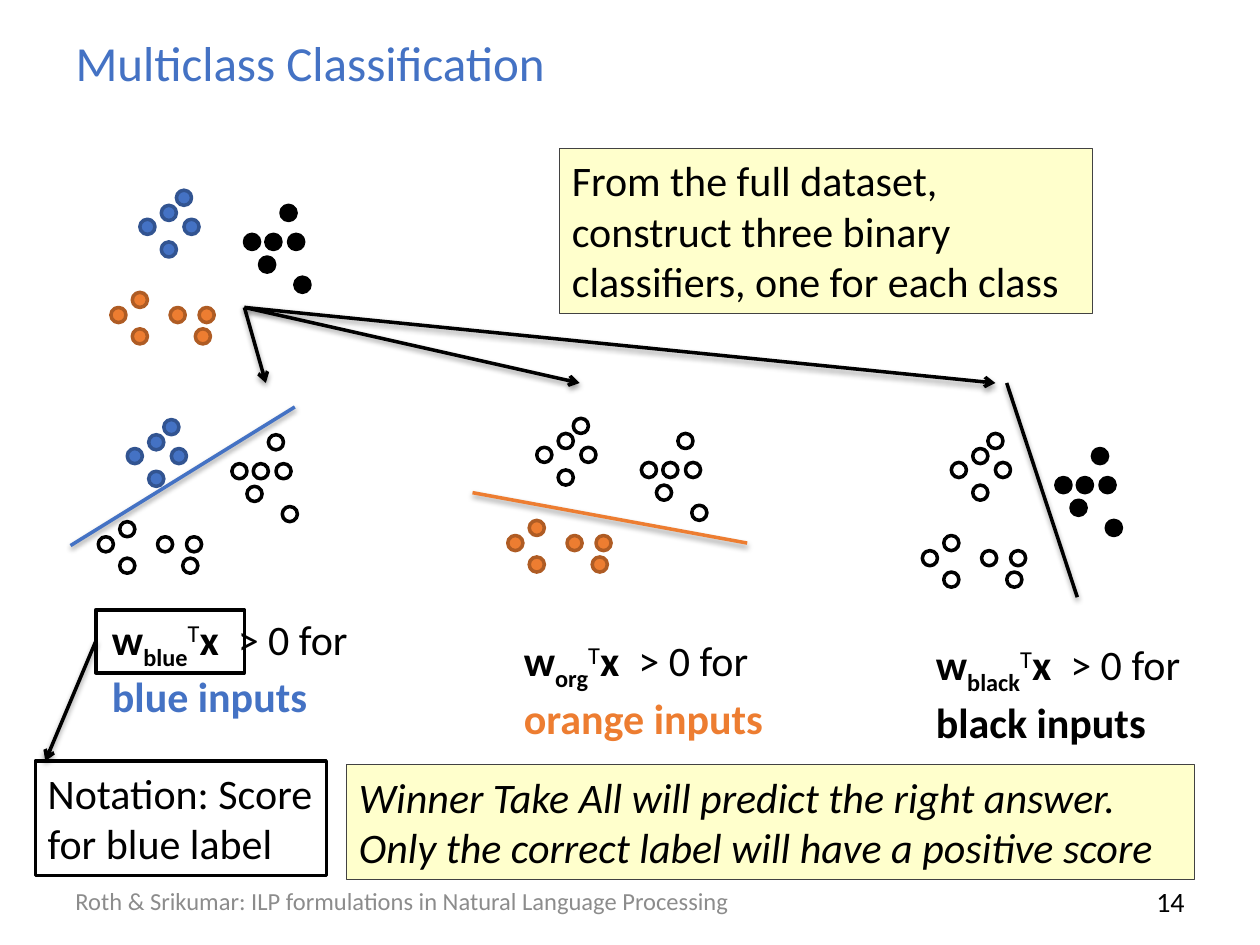
import pptx
import pptx.util
import pptx.dml.color
import pptx.enum.shapes
import pptx.enum.text
import pptx.oxml
import pptx.oxml.ns

Inches, Pt = pptx.util.Inches, pptx.util.Pt
RGB = pptx.dml.color.RGBColor
ALIGN, ANCHOR = pptx.enum.text.PP_ALIGN, pptx.enum.text.MSO_ANCHOR
SHAPE = pptx.enum.shapes.MSO_SHAPE

BLUE, BLUE_EDGE = RGB(0x44, 0x72, 0xC4), RGB(0x32, 0x54, 0x91)
ORANGE, ORANGE_EDGE = RGB(0xED, 0x7D, 0x31), RGB(0xAF, 0x5C, 0x24)
BLACK, WHITE = RGB(0, 0, 0), RGB(255, 255, 255)
CREAM, NOTE_EDGE = RGB(0xFF, 0xFF, 0xCC), RGB(0x42, 0x42, 0x42)
GREY = RGB(0x8C, 0x8C, 0x8C)

# Content: one point cloud, shown whole and then once per binary classifier
TITLE = "Multiclass Classification"
FOOTER = "Roth & Srikumar: ILP formulations in Natural Language Processing"
NUMBER = "14"
DOT = 0.12
POINTS = {
    "blue": [(1.28, 1.63), (1.40, 1.51), (1.11, 1.74), (1.46, 1.74), (1.28, 1.92)],
    "orange": [(1.58, 2.44), (1.05, 2.32), (1.35, 2.44), (0.88, 2.44),
               (1.55, 2.61), (1.05, 2.61)],
    "black": [(2.06, 2.04), (2.34, 2.20), (2.23, 1.63), (1.94, 1.86),
              (2.29, 1.86), (2.11, 1.86)],
}
COLORS = {"blue": (BLUE, BLUE_EDGE), "orange": (ORANGE, ORANGE_EDGE),
          "black": (BLACK, BLACK)}
# class, weight subscript, cloud offset, separating line, label box
CLASSIFIERS = [
    ("blue", "blue", (-0.10, 1.82), (0.56, 4.33, 2.34, 3.23), (0.79, 4.82, 2.18, 0.91)),
    ("orange", "org", (3.15, 1.81), (3.75, 3.91, 5.93, 4.31), (4.06, 4.99, 2.46, 0.91)),
    ("black", "black", (6.44, 1.93), (7.99, 3.04, 8.55, 4.74), (7.33, 5.02, 2.50, 0.91)),
]
NOTE = dict(fill=CREAM, edge=NOTE_EDGE, width=0.75)
BOXES = [
    ((4.44, 1.18, 4.23, 1.31), NOTE, {},
     "From the full dataset, construct three binary classifiers, one for each class"),
    ((2.75, 6.07, 6.73, 0.91), NOTE, dict(italic=True),
     "Winner Take All will predict the right answer. "
     "Only the correct label will have a positive score"),
    ((0.28, 6.04, 2.31, 0.91), dict(fill=WHITE), {}, "Notation: Score for blue label"),
    ((0.76, 4.84, 1.18, 0.50), dict(fill=None), {}, ""),
]
FAN_START, FAN_ENDS = (1.94, 2.44), [(2.11, 3.04), (4.60, 3.04), (7.90, 3.04)]
NOTATION_ARROW = (0.76, 5.09, 0.36, 6.04)

SHADOW = ('<a:effectLst xmlns:a="http://schemas.openxmlformats.org/drawingml/2006/main">'
          '<a:outerShdw blurRad="40000" dist="20000" dir="5400000" rotWithShape="0">'
          '<a:srgbClr val="000000"><a:alpha val="38000"/></a:srgbClr>'
          '</a:outerShdw></a:effectLst>')


def add_run(p, text, color=BLACK, size=24, baseline=0, **formats):
    r = p.add_run()
    r.text = text
    r.font.color.rgb = color
    for name, value in dict(name="Calibri", size=Pt(size), **formats).items():
        setattr(r.font, name, value)
    if baseline:
        r.font._element.set("baseline", str(baseline * 1000))


def add_shape(slide, kind, box, fill, edge=BLACK, width=2):
    sp = slide.shapes.add_shape(kind, *map(Inches, box))
    sp.shadow.inherit = False
    if fill is None:
        sp.fill.background()
    else:
        sp.fill.solid()
        sp.fill.fore_color.rgb = fill
    sp.line.color.rgb = edge
    sp.line.width = Pt(width)
    return sp


def add_text(slide, box, anchor=ANCHOR.TOP):
    tf = slide.shapes.add_textbox(*map(Inches, box)).text_frame
    tf.word_wrap = True
    tf.vertical_anchor = anchor
    return tf.paragraphs[0]


def add_line(slide, ends, color=BLACK, arrow=False):
    line = slide.shapes.add_connector(
        pptx.enum.shapes.MSO_CONNECTOR.STRAIGHT, *map(Inches, ends))
    line.line.color.rgb = color
    line.line.width = Pt(2)
    if arrow:
        tail = pptx.oxml.parse_xml('<a:tailEnd %s type="arrow"/>' % pptx.oxml.ns.nsdecls("a"))
        line.line._get_or_add_ln().append(tail)
    line._element.spPr.append(pptx.oxml.parse_xml(SHADOW))


def add_cloud(slide, offset, shown):
    for name, points in POINTS.items():
        fill, edge = COLORS[name] if name in shown else (WHITE, BLACK)
        for x, y in points:
            add_shape(slide, SHAPE.OVAL, (x + offset[0], y + offset[1], DOT, DOT), fill, edge)


def main():
    prs = pptx.Presentation()
    prs.slide_width, prs.slide_height = Inches(10), Inches(7.5)
    slide = prs.slides.add_slide(prs.slide_layouts[5])

    # Title
    title = slide.shapes.title
    title.left, title.top, title.width, title.height = map(Inches, (0.5, 0.15, 9, 0.68))
    title.text_frame.vertical_anchor = ANCHOR.MIDDLE
    p = title.text_frame.paragraphs[0]
    p.alignment = ALIGN.LEFT
    add_run(p, TITLE, BLUE, 28)

    # Full dataset, then the three classifiers with separator and label
    add_cloud(slide, (0, 0), POINTS)
    for name, subscript, offset, separator, box in CLASSIFIERS:
        color = COLORS[name][0]
        add_cloud(slide, offset, [name])
        add_line(slide, separator, color)
        p = add_text(slide, box)
        add_run(p, "w", bold=True)
        add_run(p, subscript, bold=True, baseline=-25)
        add_run(p, "T", baseline=30)
        add_run(p, "x ", bold=True)
        add_run(p, " > 0 for ")
        add_run(p, name + " inputs", color, bold=True)

    # Notes and the frame around the blue score
    for box, style, formats, text in BOXES:
        sp = add_shape(slide, SHAPE.RECTANGLE, box, **style)
        if text:
            sp.text_frame.word_wrap = True
            sp.text_frame.vertical_anchor = ANCHOR.TOP
            p = sp.text_frame.paragraphs[0]
            p.alignment = ALIGN.LEFT
            add_run(p, text, **formats)

    # Arrows
    for ends in [NOTATION_ARROW] + [FAN_START + end for end in FAN_ENDS]:
        add_line(slide, ends, arrow=True)

    # Footer and slide number
    add_run(add_text(slide, (0.5, 6.95, 6.08, 0.4), ANCHOR.MIDDLE), FOOTER, GREY, 14)
    p = add_text(slide, (7.17, 6.95, 2.33, 0.4), ANCHOR.MIDDLE)
    p.alignment = ALIGN.RIGHT
    add_run(p, NUMBER, size=16)

    prs.save("out.pptx")


if __name__ == "__main__":
    main()
